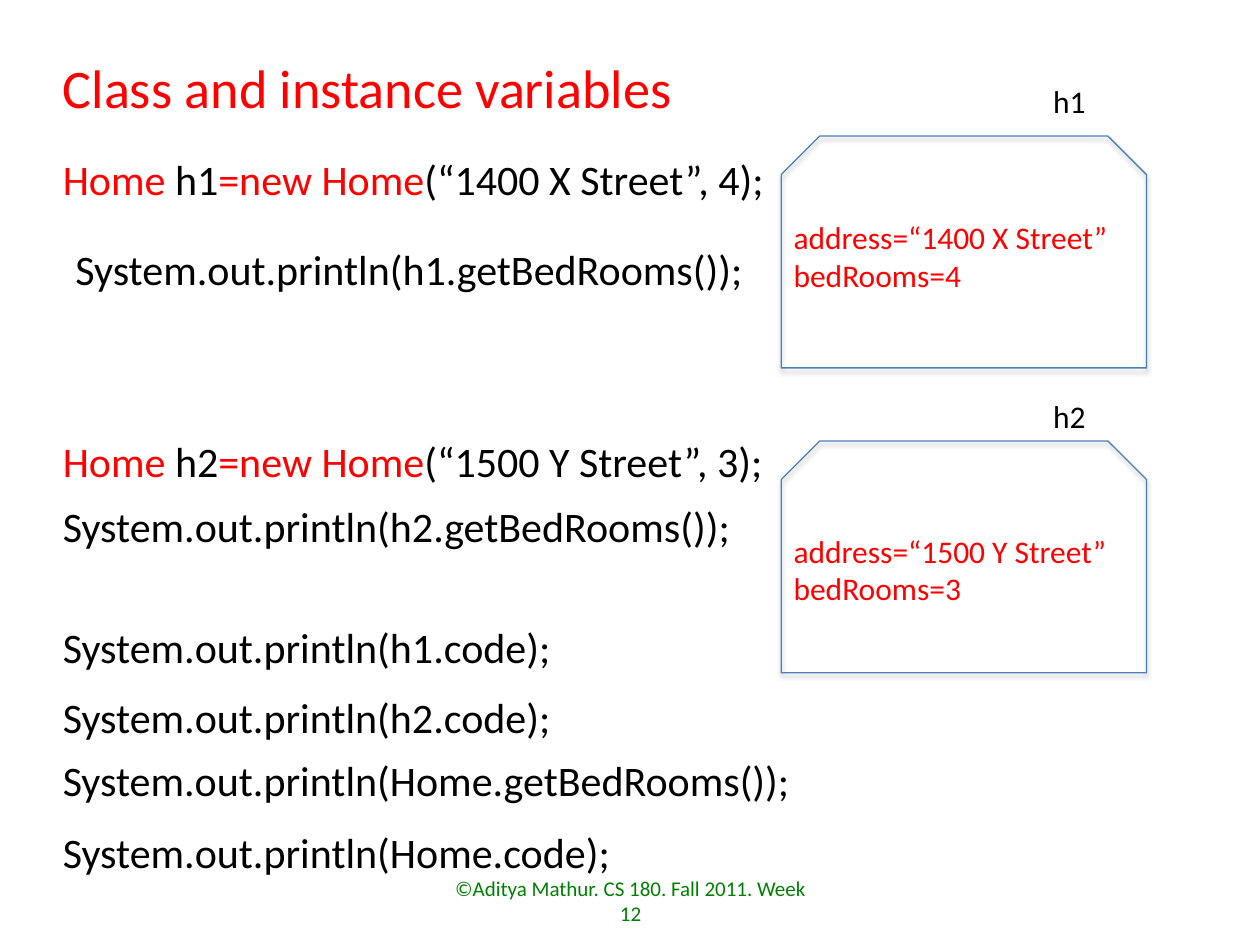
from dataclasses import dataclass

from lxml import etree
from pptx import Presentation
from pptx import util as u
from pptx.dml.color import RGBColor
from pptx.enum import shapes, text
from pptx.oxml import ns

EMU_PER_PX = 9144
COLORS = {"red": "FF0000", "black": "000000", "green": "008000", "outline": "4B7EBC"}
FONT = "Calibri"

Run = tuple[str, str]
Line = list[Run]


@dataclass
class Label:
    left: int
    top: int
    width: int
    height: int
    size: int
    lines: list[Line]
    wrap: bool = True
    grow: bool = True
    centered: bool = False


@dataclass
class Instance:
    name: str
    address: str
    bedrooms: int
    declaration_top: int
    name_top: int
    card_top: int
    fields_top: int


@dataclass
class Statement:
    left: int
    top: int
    width: int
    argument: str


TITLE = Label(40, 38, 570, 62, 31, [[("Class and instance variables", "red")]])
FOOTER = Label(342, 695, 317, 40, 12,
               [[("©Aditya Mathur. CS 180. Fall 2011. Week 12", "green")]],
               grow=False, centered=True)
INSTANCES = [
    Instance("h1", "1400 X Street", 4, 117, 60, 108, 168),
    Instance("h2", "1500 Y Street", 3, 341, 310, 350, 417),
]
STATEMENTS = [
    Statement(50, 188, 552, "h1.getBedRooms()"),
    Statement(40, 392, 552, "h2.getBedRooms()"),
    Statement(40, 488, 411, "h1.code"),
    Statement(40, 544, 411, "h2.code"),
    Statement(40, 594, 600, "Home.getBedRooms()"),
    Statement(40, 651, 459, "Home.code"),
]


def px(length: int) -> u.Emu:
    return u.Emu(length * EMU_PER_PX)


def apply_format(target, values: dict) -> None:
    for name, value in values.items():
        setattr(target, name, value)


def add_label(slide, label: Label) -> None:
    box = slide.shapes.add_textbox(
        px(label.left), px(label.top), px(label.width), px(label.height))
    frame = box.text_frame
    apply_format(frame, {
        "word_wrap": label.wrap,
        "auto_size": (text.MSO_AUTO_SIZE.SHAPE_TO_FIT_TEXT if label.grow
                      else text.MSO_AUTO_SIZE.NONE),
        "vertical_anchor": text.MSO_ANCHOR.TOP if label.grow else text.MSO_ANCHOR.MIDDLE,
    })
    for index, line in enumerate(label.lines):
        paragraph = frame.add_paragraph() if index else frame.paragraphs[0]
        paragraph.alignment = text.PP_ALIGN.CENTER if label.centered else text.PP_ALIGN.LEFT
        for content, color in line:
            run = paragraph.add_run()
            run.text = content
            apply_format(run.font, {"name": FONT, "size": u.Pt(label.size)})
            run.font.color.rgb = RGBColor.from_string(COLORS[color])


def add_shadow(shape) -> None:
    shape.shadow.inherit = False
    effects = shape.element.spPr.find(ns.qn("a:effectLst"))
    shadow = etree.SubElement(
        effects, ns.qn("a:outerShdw"), blurRad=str(u.Pt(3.1)), dist=str(u.Pt(1.8)),
        dir="5400000", rotWithShape="0")
    color = etree.SubElement(shadow, ns.qn("a:srgbClr"), val=COLORS["black"])
    etree.SubElement(color, ns.qn("a:alpha"), val="35000")


def add_card(slide, top: int) -> None:
    card = slide.shapes.add_shape(
        shapes.MSO_SHAPE.SNIP_2_SAME_RECTANGLE, px(620), px(top), px(290), px(184))
    card.fill.background()
    card.line.color.rgb = RGBColor.from_string(COLORS["outline"])
    card.line.width = u.Pt(0.75)
    add_shadow(card)


def add_instance(slide, instance: Instance) -> None:
    declaration = [
        ("Home ", "red"),
        (instance.name, "black"),
        ("=new Home", "red"),
        (f"(“{instance.address}”, {instance.bedrooms});", "black"),
    ]
    fields = [
        [(f"address=“{instance.address}”", "red")],
        [(f"bedRooms={instance.bedrooms}", "red")],
    ]
    add_label(slide, Label(40, instance.declaration_top, 580, 50, 24, [declaration]))
    add_card(slide, instance.card_top)
    add_label(slide, Label(620, instance.fields_top, 290, 71, 18, fields))
    add_label(slide, Label(826, instance.name_top, 46, 40, 18,
                           [[(instance.name, "black")]], wrap=False))


def add_statement(slide, statement: Statement) -> None:
    code = f"System.out.println({statement.argument});"
    add_label(slide, Label(statement.left, statement.top, statement.width, 50, 24,
                           [[(code, "black")]], wrap=False))


def main() -> None:
    presentation = Presentation()
    apply_format(presentation, {"slide_width": px(1000), "slide_height": px(750)})
    slide = presentation.slides.add_slide(presentation.slide_layouts[6])
    add_label(slide, TITLE)
    add_label(slide, FOOTER)
    for instance in INSTANCES:
        add_instance(slide, instance)
    for statement in STATEMENTS:
        add_statement(slide, statement)
    presentation.save("out.pptx")


if __name__ == "__main__":
    main()
